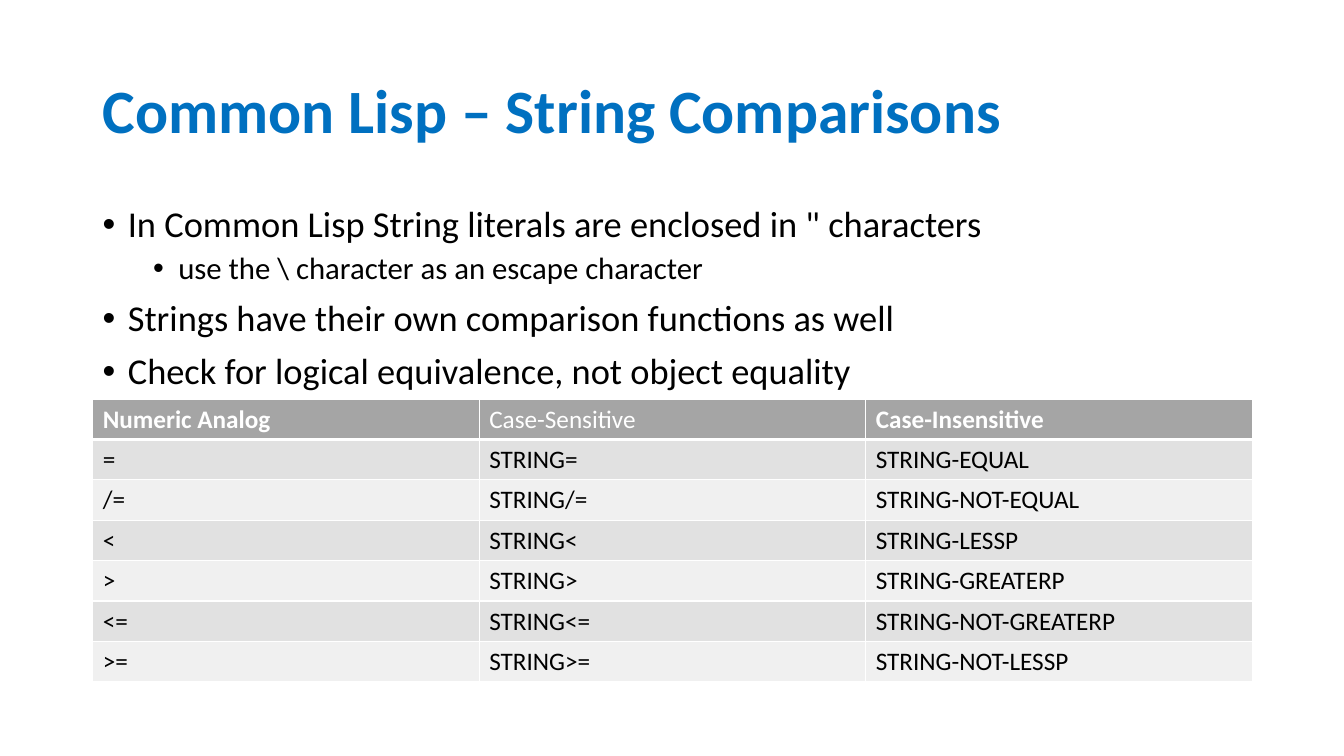
from lxml.etree import SubElement
from pptx import Presentation
from pptx.dml.color import RGBColor
from pptx.enum.text import MSO_ANCHOR
from pptx.oxml.ns import qn
from pptx.util import Inches, Pt

COLORS = {
    "title": "0070C0",
    "text": "000000",
    "header": "A5A5A5",
    "header_text": "FFFFFF",
    "odd_row": "E1E1E1",
    "even_row": "F0F0F0",
    "border": "FFFFFF",
}
FONT = "Calibri"
SLIDE_WIDTH, SLIDE_HEIGHT = 13.33, 7.5
MARGIN = 0.92
CONTENT_WIDTH = 11.5
ROW_HEIGHT = 0.4

POINTS = [
    (0, 'In Common Lisp String literals are enclosed in " characters'),
    (1, "use the \\ character as an escape character"),
    (0, "Strings have their own comparison functions as well"),
    (0, "Check for logical equivalence, not object equality"),
]
LEVELS = [
    {"size": 26, "indent": 0.25, "before": 10},
    {"size": 22, "indent": 0.75, "before": 5},
]
HEADINGS = ["Numeric Analog", "Case-Sensitive", "Case-Insensitive"]
COMPARISONS = [
    ("=", "EQUAL"),
    ("/=", "NOT-EQUAL"),
    ("<", "LESSP"),
    (">", "GREATERP"),
    ("<=", "NOT-GREATERP"),
    (">=", "NOT-LESSP"),
]


def write(paragraph, text, size=18, color="text", bold=False, spacing=None, before=None):
    run = paragraph.add_run()
    run.text = text
    run.font.name = FONT
    run.font.size = Pt(size)
    run.font.bold = bold
    run.font.color.rgb = RGBColor.from_string(COLORS[color])
    if spacing:
        paragraph.line_spacing = spacing
    if before:
        paragraph.space_before = Pt(before)


def add_frame(slide, box, anchor):
    frame = slide.shapes.add_textbox(*map(Inches, box)).text_frame
    frame.word_wrap = True
    frame.vertical_anchor = anchor
    return frame


def add_bullet(paragraph, indent):
    properties = paragraph._p.get_or_add_pPr()
    properties.set("marL", str(Inches(indent)))
    properties.set("indent", str(Inches(-0.25)))
    SubElement(properties, qn("a:buFont"), typeface="Arial")
    SubElement(properties, qn("a:buChar"), char="•")


def add_title(slide, box):
    title = add_frame(slide, box, MSO_ANCHOR.MIDDLE)
    write(title.paragraphs[0], "Common Lisp – String Comparisons",
          size=44, color="title", bold=True, spacing=0.9)


def add_points(slide, box):
    body = add_frame(slide, box, MSO_ANCHOR.TOP)
    for number, (level, text) in enumerate(POINTS):
        point = body.add_paragraph() if number else body.paragraphs[0]
        style = LEVELS[level]
        point.level = level
        write(point, text, size=style["size"], spacing=0.9, before=style["before"])
        add_bullet(point, style["indent"])


def style_cell(cell, fill, bottom=1):
    properties = cell._tc.get_or_add_tcPr()
    for side, width in {"lnL": 1, "lnR": 1, "lnT": 1, "lnB": bottom}.items():
        line = SubElement(properties, qn(f"a:{side}"), w=str(Pt(width)))
        paint = SubElement(line, qn("a:solidFill"))
        SubElement(paint, qn("a:srgbClr"), val=COLORS["border"])
    cell.fill.solid()
    cell.fill.fore_color.rgb = RGBColor.from_string(COLORS[fill])


def add_comparisons(slide, box):
    rows = [HEADINGS] + [
        (operator, f"STRING{operator}", f"STRING-{name}") for operator, name in COMPARISONS
    ]
    table = slide.shapes.add_table(len(rows), len(HEADINGS), *map(Inches, box)).table
    for row, texts in enumerate(rows):
        table.rows[row].height = Inches(box[3] / len(rows))
        for column, text in enumerate(texts):
            cell = table.cell(row, column)
            if row == 0:
                style_cell(cell, "header", bottom=3)
                write(cell.text_frame.paragraphs[0], text, color="header_text", bold=column != 1)
            else:
                style_cell(cell, "odd_row" if row % 2 else "even_row")
                cell.vertical_anchor = MSO_ANCHOR.MIDDLE
                write(cell.text_frame.paragraphs[0], text)


def main():
    presentation = Presentation()
    presentation.slide_width = Inches(SLIDE_WIDTH)
    presentation.slide_height = Inches(SLIDE_HEIGHT)
    slide = presentation.slides.add_slide(presentation.slide_layouts[6])
    add_title(slide, (MARGIN, 0.4, CONTENT_WIDTH, 1.45))
    add_points(slide, (MARGIN, 2, CONTENT_WIDTH, 4.76))
    table_height = ROW_HEIGHT * (len(COMPARISONS) + 1)
    add_comparisons(slide, (MARGIN, 3.96, CONTENT_WIDTH, table_height))
    presentation.save("out.pptx")


if __name__ == "__main__":
    main()
